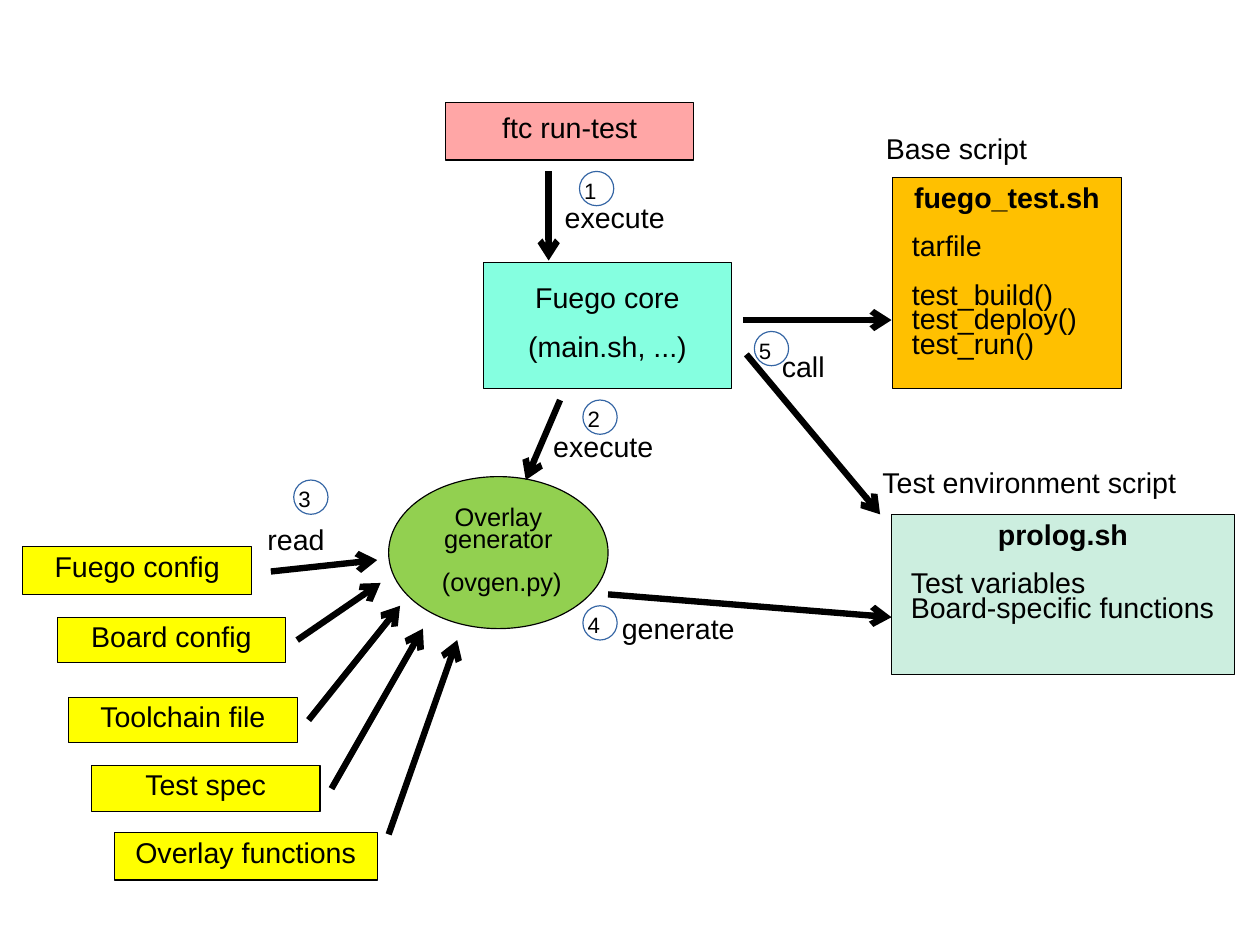
from dataclasses import dataclass
from lxml.etree import SubElement
from pptx import Presentation
from pptx.dml.color import RGBColor
from pptx.enum.shapes import MSO_CONNECTOR, MSO_SHAPE
from pptx.enum.text import MSO_ANCHOR, MSO_AUTO_SIZE, PP_ALIGN
from pptx.oxml.ns import qn
from pptx.util import Cm, Inches, Length, Pt

Spot = tuple[float, float]
Area = tuple[float, float, float, float]


@dataclass(frozen=True)
class Theme:
    font: str = "Arial"
    ink: str = "000000"
    ring: str = "3465A4"
    source: str = "FFFF00"
    start: str = "FFA6A6"
    core: str = "85FFE0"
    maker: str = "92D050"
    base: str = "FFC000"
    prolog: str = "CCEEDF"
    body: int = 18
    small: int = 16
    digit: int = 14
    edge: float = 0.75
    arrow: float = 4
    spacing: float = 0.71
    gap: float = 0.85  # space of one skipped line, as a share of the type size


THEME = Theme()


@dataclass(frozen=True)
class Line:
    text: str
    gap: bool = False
    bold: bool = False
    left: bool = False
    indent: float = 0


@dataclass(frozen=True)
class Node:
    area: Area
    fill: str
    lines: tuple[Line, ...]
    size: int = THEME.body
    shape: MSO_SHAPE = MSO_SHAPE.RECTANGLE
    anchor: MSO_ANCHOR = MSO_ANCHOR.MIDDLE


@dataclass(frozen=True)
class Label:
    text: str
    area: Area


@dataclass(frozen=True)
class Arrow:
    start: Spot
    end: Spot


# All places are columns and rows of a grid with ten cells to the inch.
SOURCES = [
    Node(area, THEME.source, (Line(text),)) for text, area in (
        ("Fuego config", (2, 47.8, 20, 4.2)),
        ("Board config", (5, 54, 20, 4)),
        ("Toolchain file", (6, 61, 20, 4)),
        ("Test spec", (8, 67, 20, 4)),
        ("Overlay functions", (10, 72.8, 23, 4.2)),
    )
]
NODES = SOURCES + [
    Node((39, 9, 21.7, 5), THEME.start, (Line("ftc run-test"),)),
    Node((42.3, 23, 21.7, 11), THEME.core,
         (Line("Fuego core"), Line("(main.sh, ...)", gap=True))),
    Node((34, 41.7, 19.2, 13.3), THEME.maker,
         (Line("Overlay generator"), Line("(ovgen.py)", gap=True, indent=0.6)),
         THEME.small, MSO_SHAPE.OVAL),
    Node((78.1, 15.5, 20, 18.5), THEME.base,
         (Line("fuego_test.sh", bold=True),
          Line("tarfile", gap=True, left=True, indent=0.7),
          Line("test_build()", gap=True, left=True, indent=0.7),
          Line("test_deploy()", left=True, indent=0.7),
          Line("test_run()", left=True, indent=0.7)),
         anchor=MSO_ANCHOR.TOP),
    Node((78, 45, 30, 14), THEME.prolog,
         (Line("prolog.sh", bold=True),
          Line("Test variables", gap=True, left=True, indent=0.7),
          Line("Board-specific functions", left=True, indent=0.7)),
         anchor=MSO_ANCHOR.TOP),
]
ARROWS = [
    Arrow((48, 15), (48, 22.8)),
    Arrow((49, 35), (46, 42)),
    Arrow((23.7, 50), (33, 49)),
    Arrow((26, 56), (33.3, 51)),
    Arrow((27, 63), (35, 53)),
    Arrow((29, 69), (37, 55)),
    Arrow((34, 73), (40, 56)),
    Arrow((53.2, 52), (78, 54)),
    Arrow((65, 28), (78, 28)),
    Arrow((65.3, 31), (77, 45)),
]
LABELS = [
    Label("Base script", (77.1, 11, 13.2, 3.8)),
    Label("Test environment script", (76.8, 40.2, 27, 3.8)),
    Label("execute", (49, 17, 13.2, 3.8)),
    Label("execute", (48, 37, 13.2, 3.8)),
    Label("read", (23, 45.2, 13.2, 3.8)),
    Label("generate", (54, 53, 13.2, 6.8)),
    Label("call", (68, 30, 6.8, 3.8)),
]
STEPS: list[Spot] = [(50.7, 15), (51, 35), (25.7, 42), (51, 53), (66, 29)]


def grid(*cells: float) -> list[Length]:
    return [Inches(cell / 10) for cell in cells]


def color(code: str) -> RGBColor:
    return RGBColor.from_string(code)


def style(para, size: int, bold: bool = False) -> None:
    for run in para.runs:
        font = run.font
        font.name, font.size, font.bold = THEME.font, Pt(size), bold
        font.color.rgb = color(THEME.ink)


def inset(frame, side: float, top: float) -> None:
    frame.margin_left, frame.margin_right = grid(side, side)
    frame.margin_top, frame.margin_bottom = grid(top, top)


def draw_node(shapes, node: Node) -> None:
    box = shapes.add_shape(node.shape, *grid(*node.area))
    box.shadow.inherit = False
    box.fill.solid()
    box.fill.fore_color.rgb = color(node.fill)
    box.line.color.rgb = color(THEME.ink)
    box.line.width = Pt(THEME.edge)
    frame = box.text_frame
    frame.word_wrap = True
    frame.vertical_anchor = node.anchor
    inset(frame, 1, 1)
    frame.text = "\n".join(line.text for line in node.lines)
    for para, line in zip(frame.paragraphs, node.lines):
        para.alignment = PP_ALIGN.LEFT if line.left else PP_ALIGN.CENTER
        para.line_spacing = THEME.spacing
        if line.gap:
            para.space_before = Pt(round(node.size * THEME.gap, 1))
        if line.indent:
            props = para._p.get_or_add_pPr()
            props.set("marL", str(grid(line.indent)[0]))
            props.set("indent", "0")
        style(para, node.size, line.bold)


def draw_label(shapes, label: Label, size: int = THEME.body) -> None:
    box = shapes.add_textbox(*grid(*label.area))
    frame = box.text_frame
    frame.word_wrap = False
    frame.auto_size = MSO_AUTO_SIZE.SHAPE_TO_FIT_TEXT
    inset(frame, 0.4, 0.5)
    frame.text = label.text
    style(frame.paragraphs[0], size)


def draw_arrow(shapes, arrow: Arrow) -> None:
    link = shapes.add_connector(MSO_CONNECTOR.STRAIGHT, *grid(*arrow.start, *arrow.end))
    link.line.color.rgb = color(THEME.ink)
    link.line.width = Pt(THEME.arrow)
    SubElement(link.line._get_or_add_ln(), qn("a:tailEnd"), type="arrow")
    SubElement(link._element.spPr, qn("a:effectLst"))


def draw_step(shapes, number: int, spot: Spot) -> None:
    """Group a step's number with the ring around it."""
    group = shapes.add_group_shape().shapes
    draw_label(group, Label(str(number), (*spot, 2.2, 3.8)), THEME.digit)
    ring = group.add_shape(MSO_SHAPE.OVAL, *grid(*spot, 3, 3))
    ring.shadow.inherit = False
    ring.fill.background()
    ring.line.color.rgb = color(THEME.ring)
    ring.line.width = Pt(0)


def main() -> None:
    deck = Presentation()
    deck.slide_width, deck.slide_height = Cm(28), Cm(21)
    shapes = deck.slides.add_slide(deck.slide_layouts[6]).shapes
    for node in NODES:
        draw_node(shapes, node)
    for arrow in ARROWS:
        draw_arrow(shapes, arrow)
    for label in LABELS:
        draw_label(shapes, label)
    for number, spot in enumerate(STEPS, 1):
        draw_step(shapes, number, spot)
    deck.save("out.pptx")


if __name__ == "__main__":
    main()
